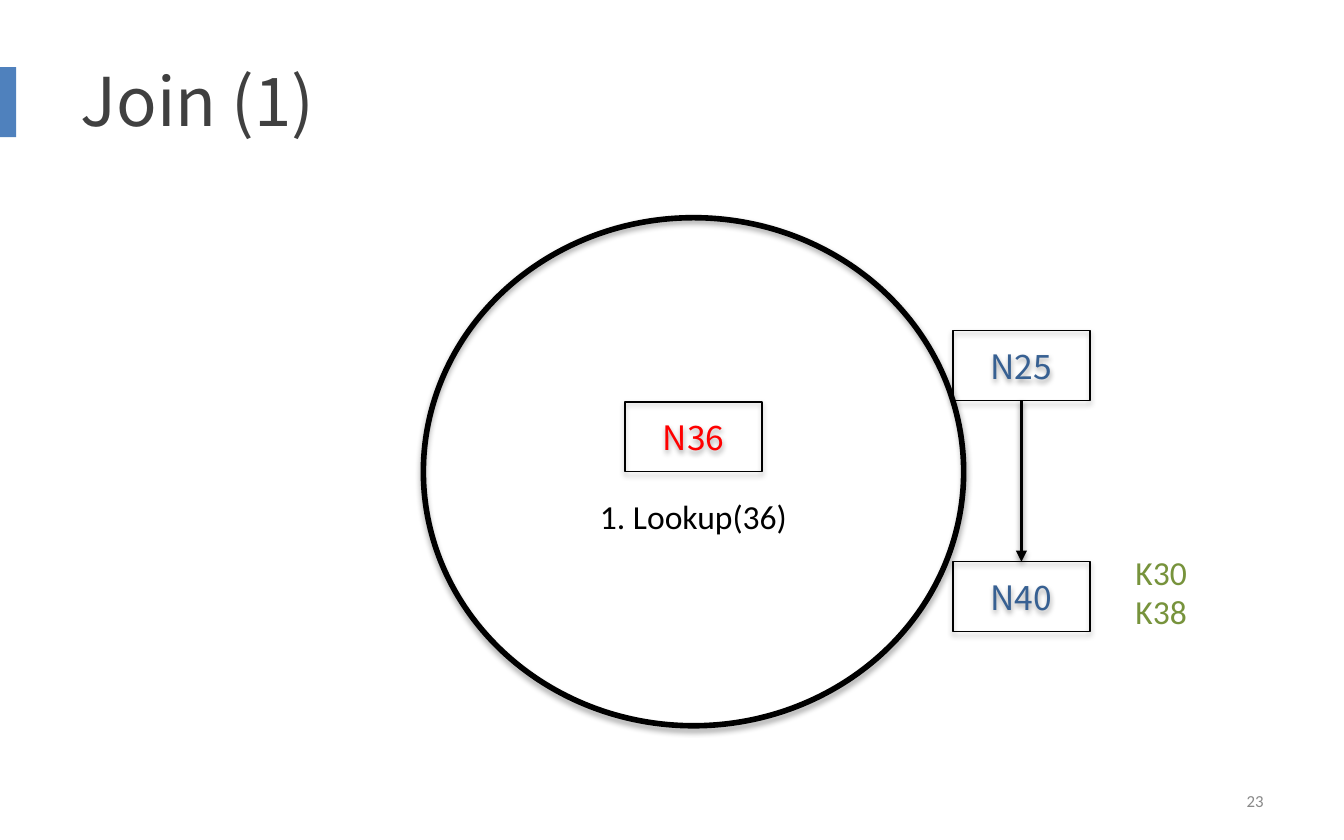
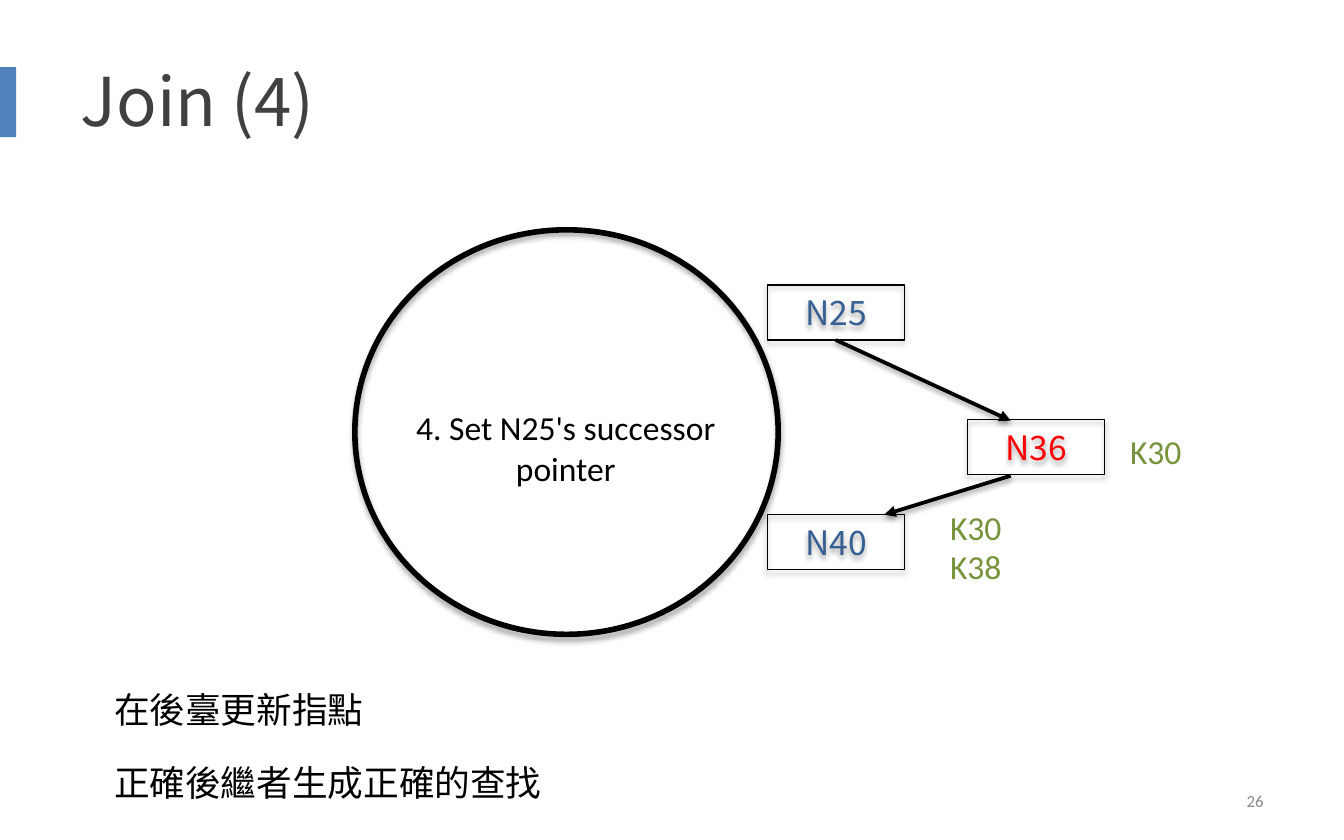
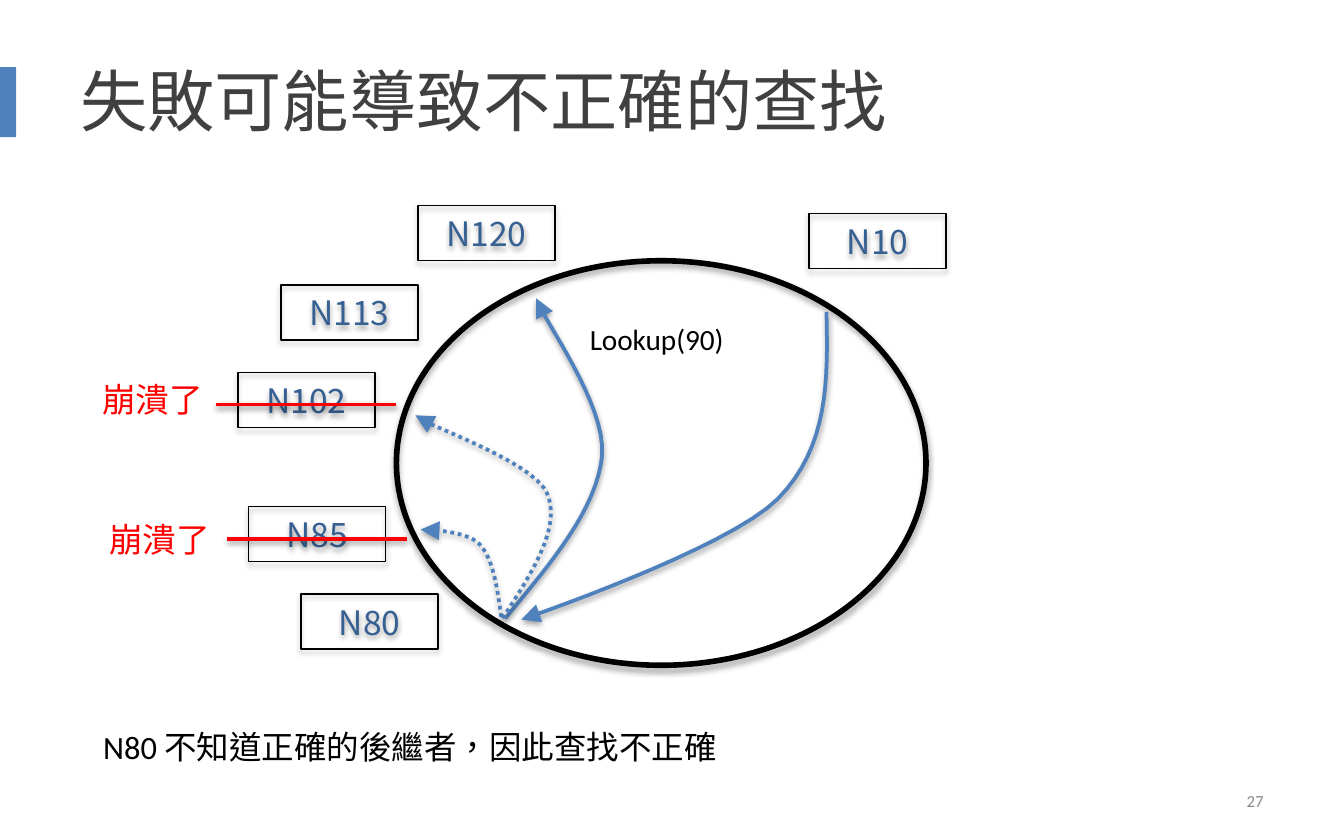
from lxml import etree
from pptx import Presentation
from pptx import util as u
from pptx.dml.color import RGBColor
from pptx.enum import dml, shapes, text
from pptx.oxml.ns import qn

SANS, BODY = "Noto Sans CJK SC", "Calibri"
BLACK, RED, BLUE, NAVY, GREEN = "000000", "FF0000", "4F81BD", "376092", "77933C"
GREY, DARK = "898989", "404040"
LEFT, CENTER, RIGHT = text.PP_ALIGN.LEFT, text.PP_ALIGN.CENTER, text.PP_ALIGN.RIGHT
TOP, MIDDLE = text.MSO_ANCHOR.TOP, text.MSO_ANCHOR.MIDDLE
NODE_W = 1.02
CURVE_STEPS = 16
rgb = RGBColor.from_string


def write(sp, content, size=18, font=BODY, color=BLACK, align=LEFT, anchor=TOP, raised=False):
    """Put the text in the shape, one paragraph a line."""
    tf = sp.text_frame
    tf.word_wrap = True
    tf.vertical_anchor = anchor
    for i, line in enumerate(content.split("\n")):
        p = tf.paragraphs[0] if i == 0 else tf.add_paragraph()
        p.alignment = align
        r = p.add_run()
        r.text = line
        r.font.size = u.Pt(size)
        r.font.name = font
        r.font.color.rgb = rgb(color)
        rPr = r._r.get_or_add_rPr()
        rPr.set("lang", "zh-TW")
        if raised:
            rPr.set("baseline", "30000")
        etree.SubElement(rPr, qn("a:ea"), typeface=SANS)


def outline(sp, color, width, alpha=35, dist=1.8, head=None, dotted=False):
    """Draw the line, an arrowhead of the given size, and the soft shadow below."""
    sp.line.color.rgb = rgb(color)
    sp.line.width = u.Pt(width)
    if dotted:
        sp.line.dash_style = dml.MSO_LINE.ROUND_DOT
    spPr = sp._element.spPr
    if head:
        etree.SubElement(spPr.find(qn("a:ln")), qn("a:tailEnd"), type="triangle", w=head, len=head)
    effects = etree.SubElement(spPr, qn("a:effectLst"))
    shadow = etree.SubElement(effects, qn("a:outerShdw"), blurRad=str(u.Pt(3.1)),
                              dist=str(u.Pt(dist)), dir="5400000", rotWithShape="0")
    clr = etree.SubElement(shadow, qn("a:srgbClr"), val=BLACK)
    etree.SubElement(clr, qn("a:alpha"), val=str(alpha * 1000))


key = dict(color=GREEN)
step = dict(align=CENTER)
crash = dict(font=SANS, color=RED, align=RIGHT)

# Nodes: name, left, top. Labels: text, box, format.
# Arrows: start, end, where an end may be a node name with its connection site.
# Curves: start, then (control, control, end) for each part, and whether dotted.
SLIDES = [
    dict(title="Join (1)", number="23", ring=(3.15, 1.62, 4.02, 3.78), node_h=0.52,
         nodes=[("N36", 4.65, 2.99), ("N25", 7.09, 2.46), ("N40", 7.09, 4.18)],
         labels=[("1. Lookup(36)", (4.02, 3.64, 2.28, 0.4), step),
                 ("K30", (8.35, 4.06, 0.79, 0.4), key),
                 ("K38", (8.35, 4.35, 0.79, 0.4), key)],
         arrows=[(("N25", 2), ("N40", 0))]),
    dict(title="Join (4)", number="26", ring=(2.64, 1.71, 3.15, 3.01), node_h=0.41,
         nodes=[("N36", 7.2, 3.12), ("N25", 5.71, 2.12), ("N40", 5.71, 3.83)],
         labels=[("4. Set N25's successor pointer", (2.91, 2.98, 2.6, 0.71), step),
                 ("K30", (6.97, 3.72, 0.79, 0.4), key),
                 ("K38", (6.97, 4.01, 0.79, 0.4), key),
                 ("K30", (8.31, 3.16, 0.79, 0.4), key),
                 ("在後臺更新指點\n正確後繼者生成正確的查找", (0.75, 5.01, 8.19, 1.03),
                  dict(size=33, raised=True))],
         arrows=[(("N25", 2), (7.52, 3.13)), ((7.52, 3.54), (6.58, 3.83))]),
    dict(title="失敗可能導致不正確的查找", number="27", ring=(2.95, 1.94, 3.94, 3.01), node_h=0.41,
         nodes=[("N80", 2.24, 4.42), ("N85", 1.85, 3.77), ("N102", 1.77, 2.77),
                ("N113", 2.09, 2.12), ("N120", 3.11, 1.53), ("N10", 6.02, 1.59)],
         curves=[((3.73, 4.59), [((3.7, 4.37), (3.67, 4.16), (3.57, 4.05)),
                                 ((3.47, 3.94), (3.13, 3.94), (3.13, 3.94))], True),
                 ((3.76, 4.6), [((4.1, 4.19), (4.44, 3.79), (4.48, 3.39)),
                                ((4.51, 3), (4.04, 2.38), (3.99, 2.22))], False),
                 ((3.74, 4.6), [((3.96, 4.26), (4.18, 3.92), (4.07, 3.67)),
                                ((3.96, 3.42), (3.12, 3.15), (3.09, 3.09))], True),
                 ((6.15, 2.32), [((6.16, 2.82), (6.17, 3.32), (5.79, 3.71)),
                                 ((5.41, 4.09), (3.88, 4.61), (3.88, 4.61))], False)],
         labels=[("N80 不知道正確的後繼者，因此查找不正確", (0.67, 5.31, 5.5, 0.61),
                  dict(size=30, raised=True)),
                 ("Lookup(90)", (4.29, 2.3, 1.36, 0.56), dict(size=27, raised=True)),
                 ("崩潰了", (0.5, 2.77, 1.11, 0.41), crash),
                 ("崩潰了", (0.55, 3.81, 1.11, 0.41), crash)],
         strikes=[(1.61, 3.01), (1.69, 4.01)]),
]

prs = Presentation()
prs.slide_width, prs.slide_height = u.Inches(10), u.Inches(6.25)

for page in SLIDES:
    s = prs.slides.add_slide(prs.slide_layouts[6])

    band = s.shapes.add_shape(shapes.MSO_SHAPE.RECTANGLE, *map(u.Inches, (-0.06, 0.5, 0.18, 0.52)))
    band.shadow.inherit = False
    band.fill.solid()
    band.fill.fore_color.rgb = rgb(BLUE)
    band.line.fill.background()

    frame = [(page["title"], (0.5, 0.25, 9, 0.98),
              dict(size=36, font=SANS, color=DARK, anchor=MIDDLE)),
             (page["number"], (7.17, 5.79, 2.33, 0.33),
              dict(size=9, color=GREY, align=RIGHT, anchor=MIDDLE))]

    ring = s.shapes.add_shape(shapes.MSO_SHAPE.OVAL, *map(u.Inches, page["ring"]))
    ring.fill.background()
    outline(ring, BLACK, 3)

    nodes = {}
    for name, left, top in page["nodes"]:
        box = (left, top, NODE_W, page["node_h"])
        sp = s.shapes.add_shape(shapes.MSO_SHAPE.RECTANGLE, *map(u.Inches, box))
        sp.fill.background()
        outline(sp, BLACK, 0.75)
        write(sp, name, font=SANS, color=RED if name == "N36" else NAVY,
              align=CENTER, anchor=MIDDLE)
        nodes[name] = sp

    for start, parts, dotted in page.get("curves", []):
        points = [start]
        for c1, c2, end in parts:
            p0 = points[-1]
            for i in range(1, CURVE_STEPS + 1):
                t = i / CURVE_STEPS
                points.append(tuple(
                    (1 - t) ** 3 * a + 3 * t * (1 - t) ** 2 * b + 3 * t ** 2 * (1 - t) * c + t ** 3 * d
                    for a, b, c, d in zip(p0, c1, c2, end)))
        points = [(u.Inches(x), u.Inches(y)) for x, y in points]
        builder = s.shapes.build_freeform(*points[0])
        builder.add_line_segments(points[1:], close=False)
        curve = builder.convert_to_shape()
        curve.fill.background()
        outline(curve, BLUE, 2, alpha=38, dist=1.6, head="lg", dotted=dotted)

    for content, box, look in frame + page["labels"]:
        write(s.shapes.add_textbox(*map(u.Inches, box)), content, **look)

    for ends in page.get("arrows", []):
        xy = [(0, 0) if end[0] in nodes else end for end in ends]
        arrow = s.shapes.add_connector(shapes.MSO_CONNECTOR.STRAIGHT,
                                       *map(u.Inches, xy[0] + xy[1]))
        for end, connect in zip(ends, (arrow.begin_connect, arrow.end_connect)):
            if end[0] in nodes:
                connect(nodes[end[0]], end[1])
        outline(arrow, BLACK, 2, alpha=38, dist=1.6, head="med")

    for x, y in page.get("strikes", []):
        strike = s.shapes.add_connector(shapes.MSO_CONNECTOR.STRAIGHT,
                                        *map(u.Inches, (x, y, x + 1.34, y)))
        outline(strike, RED, 2, alpha=38, dist=1.6)

prs.save("out.pptx")
